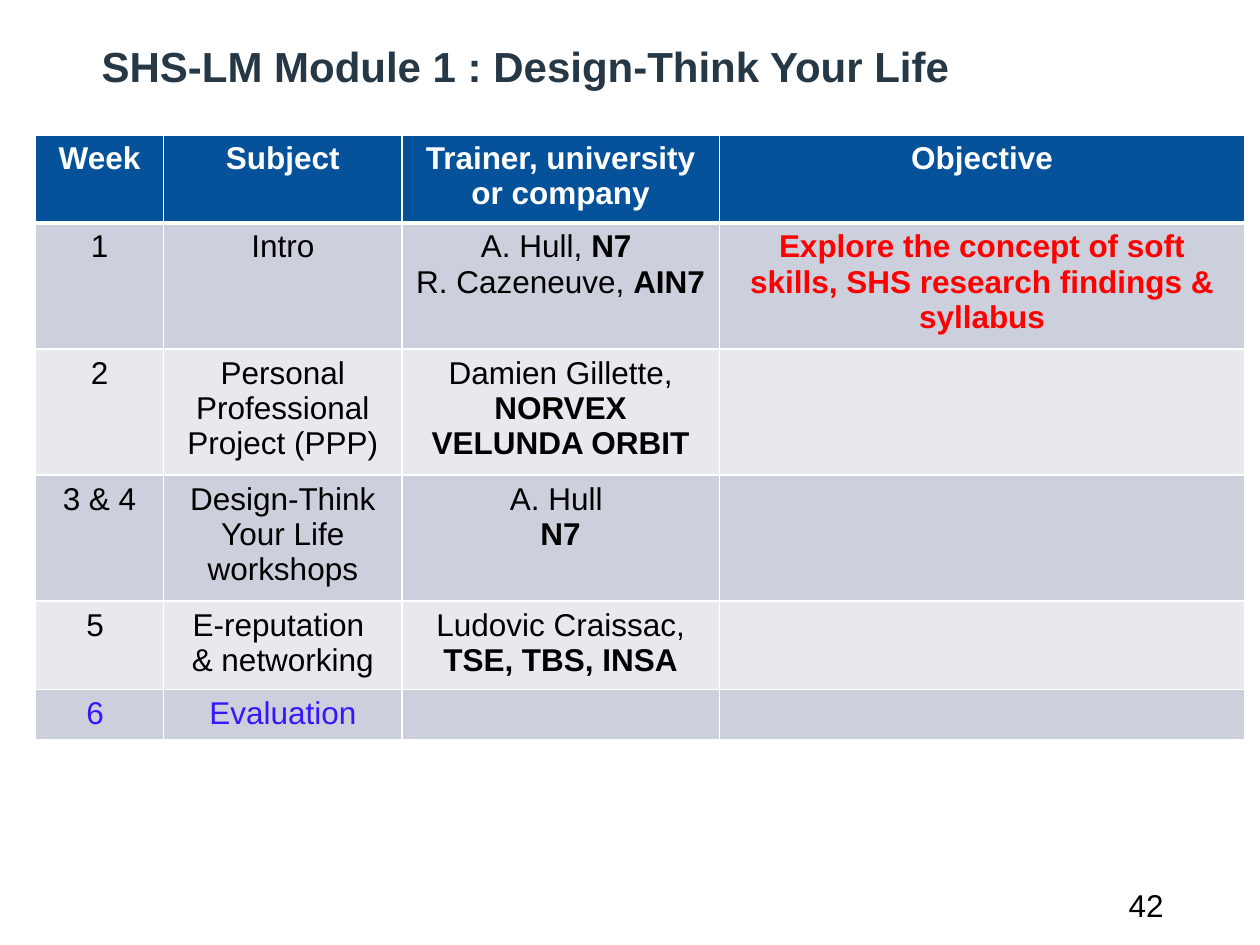
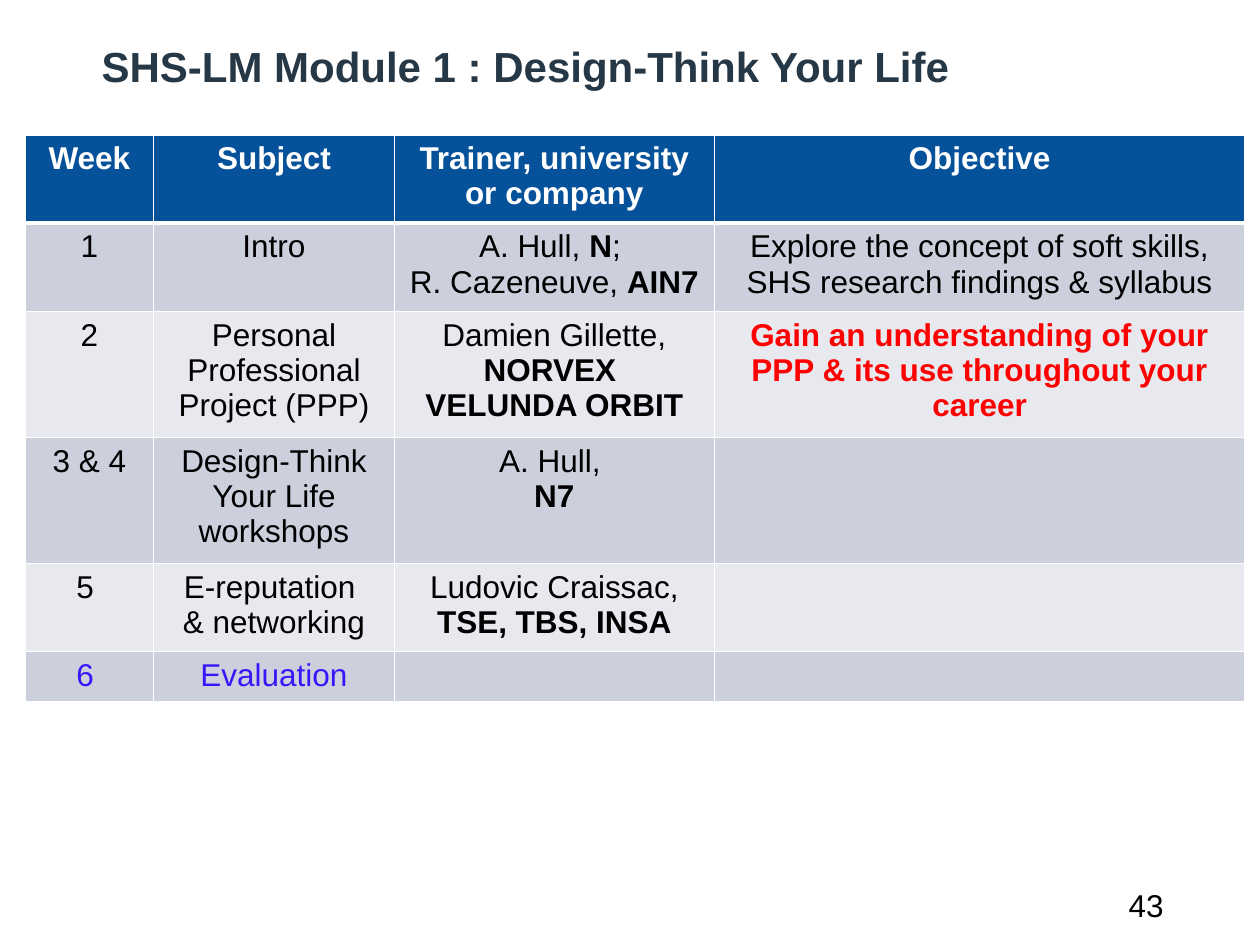
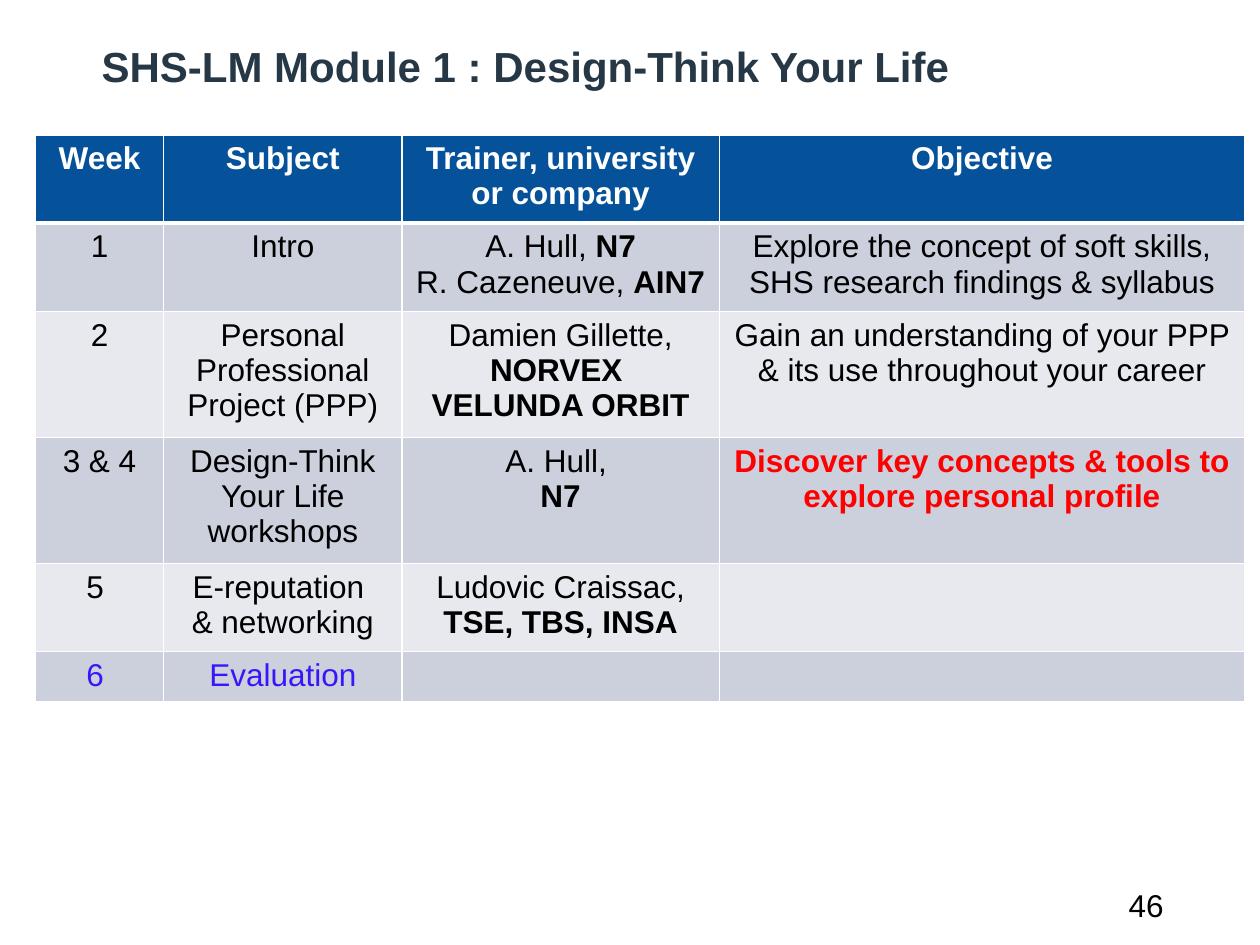
"""Build the three weekly programme slides of the Design-Think Your Life module."""
from dataclasses import dataclass

from lxml import etree
from pptx import Presentation
from pptx.dml.color import RGBColor
from pptx.enum.text import MSO_ANCHOR, PP_ALIGN
from pptx.oxml.ns import qn
from pptx.util import Inches, Pt

CENTER, LEFT = PP_ALIGN.CENTER, PP_ALIGN.LEFT
MIDDLE, TOP = MSO_ANCHOR.MIDDLE, MSO_ANCHOR.TOP


@dataclass(frozen=True)
class Theme:
    font: str = "Arial"
    title: str = "263746"
    header: str = "05529A"
    odd_row: str = "CCD0DD"
    even_row: str = "E7E9EF"
    white: str = "FFFFFF"
    text: str = "000000"
    current: str = "FF0000"
    evaluation: str = "3717F9"
    title_size: int = 24
    body_size: int = 18
    grid_width: float = 0.96
    header_rule: float = 3


THEME = Theme()
TITLE = "SHS-LM Module 1 : Design-Think Your Life"
HEADERS = ["Week", "Subject", "Trainer, university or company", "Objective"]
WEEKS = ["1", "2", "3 & 4", "5 ", "6 "]
SUBJECTS = [
    "Intro",
    "Personal Professional Project (PPP)",
    "Design-Think Your Life workshops",
    "E-reputation \n& networking",
    "Evaluation",
]
OBJECTIVES = [
    "Explore the concept of soft skills, SHS research findings & syllabus",
    "Gain an understanding of your PPP & its use throughout your career",
    "Discover key concepts & tools to explore personal profile",
]
COLS, WIDE_COLS = [1.02, 1.89, 2.52, 4.17], [1.02, 1.91, 2.54, 4.21]
SLIDES = [
    dict(page="42", left=0.28, cols=COLS, intro_height=0.94,
         hull="A. Hull, *N7 *", company="NORVEX", workshop="A. Hull "),
    dict(page="43", left=0.2, cols=WIDE_COLS, intro_height=0.66,
         hull="A. Hull, *N*; ", company="NORVEX ", workshop="A. Hull, "),
    dict(page="46", left=0.28, cols=COLS, intro_height=0.66,
         hull="A. Hull, *N7*", company="NORVEX ", workshop="A. Hull, "),
]


def write(tf, text, color, size=THEME.body_size, bold=False, align=CENTER):
    """Write one paragraph per line; asterisks switch bold on and off."""
    for i, line in enumerate(text.split("\n")):
        p = tf.paragraphs[0] if i == 0 else tf.add_paragraph()
        p.alignment = align
        for j, part in enumerate(line.split("*")):
            if part:
                r = p.add_run()
                r.text = part
                font = dict(name=THEME.font, size=Pt(size), bold=bold or j % 2 == 1)
                for name, value in font.items():
                    setattr(r.font, name, value)
                r.font.color.rgb = RGBColor.from_string(color)


def style_cell(cell, fill, top, bottom):
    """Draw the white cell borders, then the fill."""
    tcPr = cell._tc.get_or_add_tcPr()
    widths = dict(lnL=THEME.grid_width, lnR=THEME.grid_width, lnT=top, lnB=bottom)
    for side, width in widths.items():
        ln = etree.SubElement(tcPr, qn(f"a:{side}"), w=str(Pt(width)))
        solid = etree.SubElement(ln, qn("a:solidFill"))
        etree.SubElement(solid, qn("a:srgbClr"), val=THEME.white)
    cell.fill.solid()
    cell.fill.fore_color.rgb = RGBColor.from_string(fill)


prs = Presentation()
prs.slide_width, prs.slide_height = Inches(10), Inches(7.5)

for current, item in enumerate(SLIDES):
    s = prs.slides.add_slide(prs.slide_layouts[5])
    title = s.shapes.title
    page = s.shapes.add_textbox(Inches(8.86), Inches(6.98), Inches(1.07), Inches(0.4))
    box = dict(left=-0.36, top=0.13, width=9.06, height=0.79)
    for name, value in box.items():
        setattr(title, name, Inches(value))
    for sp, anchor in ((title, MIDDLE), (page, TOP)):
        sp.text_frame.word_wrap = True
        sp.text_frame.vertical_anchor = anchor
    write(title.text_frame, TITLE, THEME.title, THEME.title_size, bold=True)
    write(page.text_frame, item["page"], THEME.text, align=LEFT)

    trainers = [
        f"{item['hull']}\nR. Cazeneuve, *AIN7*",
        f"Damien Gillette, *{item['company']}*\n*VELUNDA ORBIT*",
        f"{item['workshop']}\n*N7*",
        "Ludovic Craissac, *TSE, TBS, INSA*",
        "",
    ]
    shown = [text if i <= current else "" for i, text in enumerate(OBJECTIVES)] + ["", ""]
    rows = [HEADERS, *zip(WEEKS, SUBJECTS, trainers, shown)]
    heights = [0.66, item["intro_height"], 0.94, 0.94, 0.66, 0.38]

    table = s.shapes.add_table(
        len(rows), len(HEADERS), Inches(item["left"]), Inches(1.07),
        Inches(sum(item["cols"])), Inches(sum(heights))).table
    for col, width in zip(table.columns, item["cols"]):
        col.width = Inches(width)
    for i, (row, height) in enumerate(zip(rows, heights)):
        table.rows[i].height = Inches(height)
        fill = THEME.header if i == 0 else THEME.odd_row if i % 2 else THEME.even_row
        top = THEME.header_rule if i == 1 else THEME.grid_width
        bottom = THEME.header_rule if i == 0 else THEME.grid_width
        for j, text in enumerate(row):
            cell = table.cell(i, j)
            style_cell(cell, fill, top, bottom)
            is_current = i == current + 1 and j == 3
            if i == 0:
                color = THEME.white
            elif is_current:
                color = THEME.current
            else:
                color = THEME.evaluation if i == len(WEEKS) else THEME.text
            write(cell.text_frame, text, color, bold=i == 0 or is_current)

prs.save("out.pptx")
